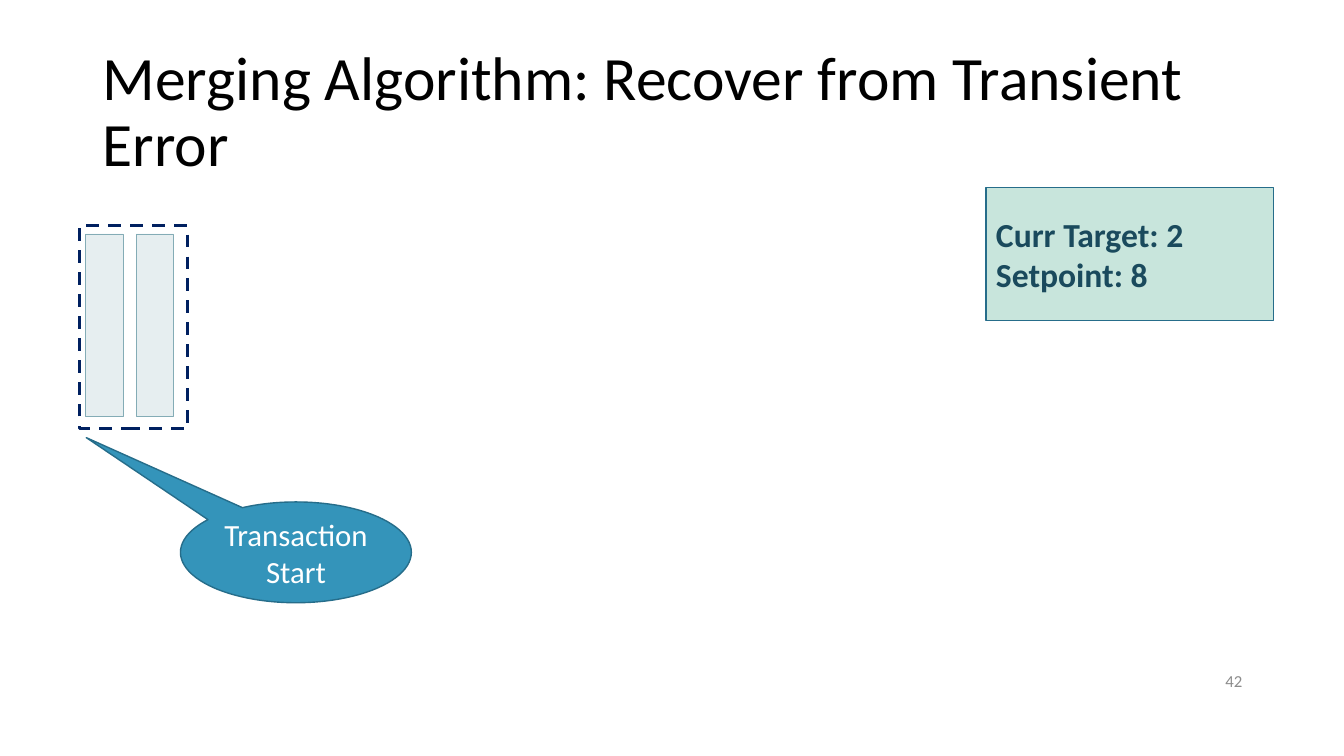
from pptx import Presentation
from pptx.dml.color import RGBColor
from pptx.enum.dml import MSO_LINE
from pptx.enum.shapes import MSO_SHAPE
from pptx.enum.text import MSO_ANCHOR, PP_ALIGN
from pptx.util import Inches, Pt

RECT, CALLOUT = MSO_SHAPE.RECTANGLE, MSO_SHAPE.OVAL_CALLOUT
LEFT, CENTER, RIGHT = PP_ALIGN.LEFT, PP_ALIGN.CENTER, PP_ALIGN.RIGHT
MIDDLE, DASH = MSO_ANCHOR.MIDDLE, MSO_LINE.DASH

# Content
TITLE = ["Merging Algorithm: Recover from Transient Error"]
STATUS = ["Curr Target: 2", "Setpoint: 8"]
CALLOUT_TEXT = ["Transaction Start"]
PAGE_NUMBER = ["42"]

# Theme: text styles and (fill, line colour, line width) looks
THEME = {
    "font": "Calibri",
    "title": {"size": 44, "color": "000000"},
    "status": {"size": 24, "color": "1A4A5D", "bold": True},
    "callout": {"size": 22, "color": "FFFFFF"},
    "number": {"size": 12, "color": "8C8C8C"},
    "status_look": ("C8E5DC", "266D8A", 1),
    "bar_look": ("E6EEF0", "84ACB6", 0.5),
    "frame_look": (None, "002060", 2.25),
    "callout_look": ("3494BA", "266D8A", 1),
}

# Layout: left, top, width, height
TITLE_BOX = (0.92, 0.4, 11.5, 1.45)
NUMBER_BOX = (9.42, 6.55, 3, 0.4)
STATUS_BOX = (9.78, 1.86, 2.85, 1.32)
FRAME_BOX = (0.79, 2.24, 1.07, 2.01)
CALLOUT_BOX = (1.79, 4.98, 2.29, 1)
CALLOUT_TIP = (-0.908, -1.138)
BAR_COUNT, BAR_LEFT, BAR_TOP, BAR_STEP = 2, 0.85, 2.32, 0.5
BAR_WIDTH, BAR_HEIGHT = 0.37, 1.81


def write(sp, lines, style, align=LEFT, spacing=1.0):
    tf = sp.text_frame
    tf.word_wrap = True
    tf.vertical_anchor = MIDDLE
    fmt = THEME[style]
    for i, line in enumerate(lines):
        p = tf.paragraphs[0] if i == 0 else tf.add_paragraph()
        p.alignment = align
        p.line_spacing = spacing
        r = p.add_run()
        r.text = line
        values = {"name": THEME["font"], "size": Pt(fmt["size"]),
                  "bold": fmt.get("bold", False)}
        for name, value in values.items():
            setattr(r.font, name, value)
        r.font.color.rgb = RGBColor.from_string(fmt["color"])


def add_shape(s, kind, box, look):
    fill, line, width = THEME[look]
    sp = s.shapes.add_shape(kind, *map(Inches, box))
    sp.shadow.inherit = False
    if fill:
        sp.fill.solid()
        sp.fill.fore_color.rgb = RGBColor.from_string(fill)
    else:
        sp.fill.background()
    sp.line.color.rgb = RGBColor.from_string(line)
    sp.line.width = Pt(width)
    return sp


def add_text(s, box, *args):
    write(s.shapes.add_textbox(*map(Inches, box)), *args)


def main():
    prs = Presentation()
    prs.slide_width, prs.slide_height = Inches(13.33), Inches(7.5)
    s = prs.slides.add_slide(prs.slide_layouts[6])

    # Page number and title
    add_text(s, NUMBER_BOX, PAGE_NUMBER, "number", RIGHT)
    add_text(s, TITLE_BOX, TITLE, "title", LEFT, 0.9)

    # Status panel
    write(add_shape(s, RECT, STATUS_BOX, "status_look"), STATUS, "status")

    # Bars inside the dashed transaction frame
    for i in range(BAR_COUNT):
        box = (BAR_LEFT + i * BAR_STEP, BAR_TOP, BAR_WIDTH, BAR_HEIGHT)
        add_shape(s, RECT, box, "bar_look")
    add_shape(s, RECT, FRAME_BOX, "frame_look").line.dash_style = DASH

    # Callout pointing at the frame
    callout = add_shape(s, CALLOUT, CALLOUT_BOX, "callout_look")
    for i, offset in enumerate(CALLOUT_TIP):
        callout.adjustments[i] = offset
    write(callout, CALLOUT_TEXT, "callout", CENTER)
    for side in ("margin_left", "margin_right"):
        setattr(callout.text_frame, side, Inches(0.05))

    prs.save("out.pptx")


if __name__ == "__main__":
    main()
